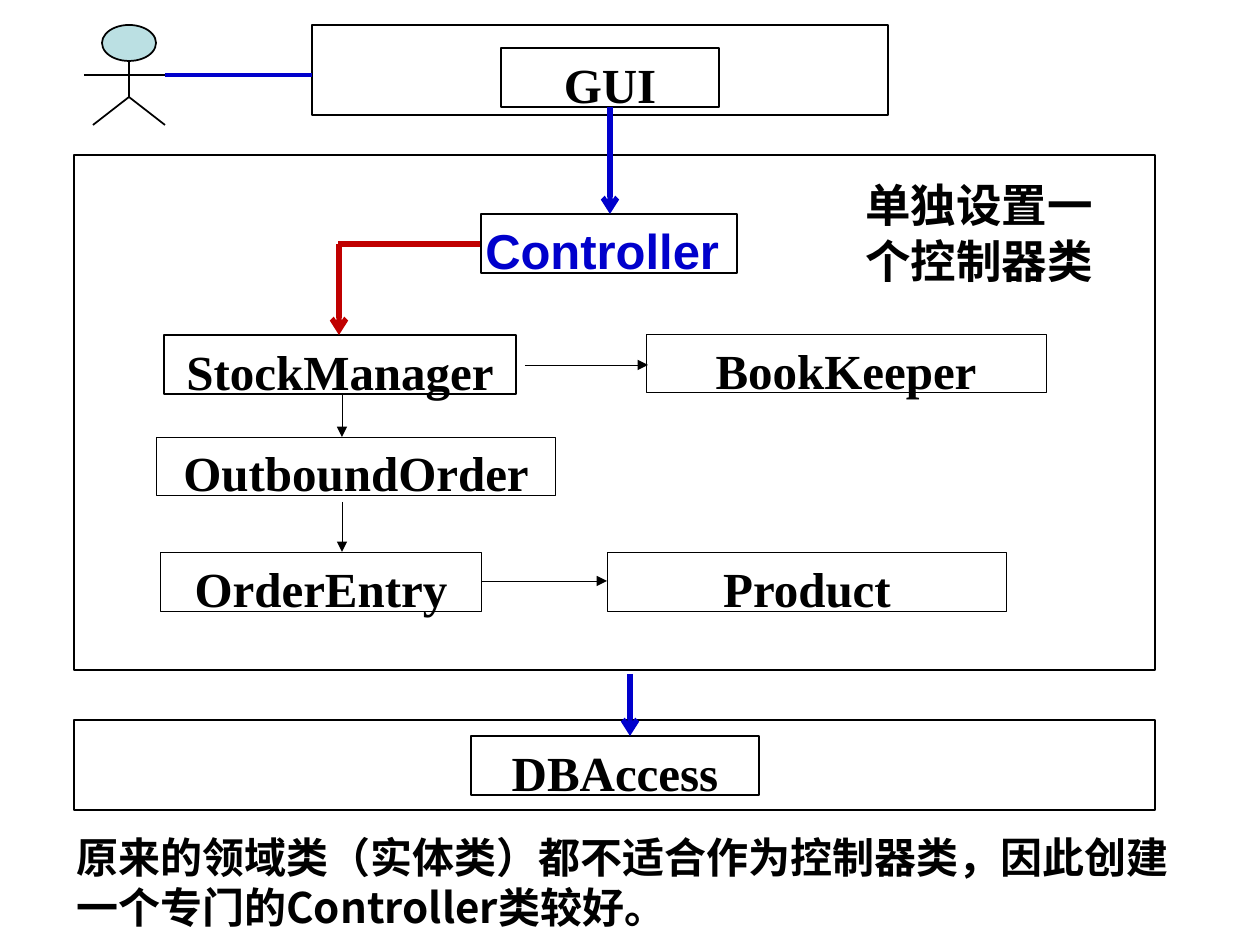
from lxml.etree import SubElement
from pptx import Presentation
from pptx.dml.color import RGBColor
from pptx.enum.shapes import MSO_CONNECTOR, MSO_SHAPE
from pptx.enum.text import MSO_ANCHOR, PP_ALIGN
from pptx.oxml.ns import qn
from pptx.util import Pt

PX = 914400 / 126
BLACK, WHITE, BLUE, RED, HEAD = "000000", "FFFFFF", "0000CC", "C00000", "BBE0E3"
SERIF, SANS, CJK = "Times New Roman", "Arial", "Noto Sans CJK SC"

# Layer frames: left, top, width, height
LAYERS = [(312, 25, 576, 90), (74, 155, 1081, 515), (74, 720, 1081, 90)]

# Class boxes: name, left, top, width, line width, font, colour
BOX_HEIGHT = 59
CLASSES = [
    ("GUI", 501, 48, 218, 1, SERIF, BLACK),
    ("Controller ", 481, 214, 256, 1, SANS, BLUE),
    ("StockManager", 164, 335, 352, 1, SERIF, BLACK),
    ("BookKeeper", 646, 334, 400, 0.5, SERIF, BLACK),
    ("OutboundOrder", 156, 437, 400, 0.5, SERIF, BLACK),
    ("OrderEntry", 160, 552, 322, 0.5, SERIF, BLACK),
    ("Product", 607, 552, 400, 0.5, SERIF, BLACK),
    ("DBAccess", 471, 736, 288, 1, SERIF, BLACK),
]

# Actor: head box and limbs
ACTOR_HEAD = (102, 25, 54, 36)
LIMBS = [(84, 75, 184, 75), (129, 61, 129, 97),
         (129, 97, 93, 125), (129, 97, 165, 125)]

# Links: x1, y1, x2, y2, colour, width, arrowhead
LINKS = [
    (165, 75, 312, 75, BLUE, 2.75, None),
    (610, 107, 610, 214, BLUE, 3, "arrow"),
    (480, 244, 338, 244, RED, 3, None),
    (339, 244, 339, 335, RED, 3, "arrow"),
    (525, 365, 648, 365, BLACK, 0.5, "triangle"),
    (342, 394, 342, 437, BLACK, 0.5, "triangle"),
    (342, 502, 342, 552, BLACK, 0.5, "triangle"),
    (482, 581, 607, 581, BLACK, 0.5, "triangle"),
    (630, 674, 630, 736, BLUE, 3, "arrow"),
]

# Notes: lines, box, size, line pitch in points, wrap
NOTES = [
    (["单独设置一", "个控制器类"], (853, 170, 274, 123), 26, 32, True),
    (["原来的领域类（实体类）都不适合作为控制器类，因此创建",
      "一个专门的Controller类较好。"], (64, 824, 1128, 115), 24, 29, False),
]


def emu(*lengths):
    return [round(length * PX) for length in lengths]


def rgb(colour):
    return RGBColor.from_string(colour)


def set_all(target, **values):
    for name, value in values.items():
        setattr(target, name, value)


def write(paragraph, text, font_name, size, colour):
    run = paragraph.add_run()
    run.text = text
    set_all(run.font, name=font_name, size=Pt(size), bold=True)
    run.font.color.rgb = rgb(colour)
    SubElement(run.font._element, qn("a:ea"), typeface=font_name)


def add_outline(slide, kind, box, width, fill=None):
    outline = slide.shapes.add_shape(kind, *emu(*box))
    outline.shadow.inherit = False
    if fill:
        outline.fill.solid()
        outline.fill.fore_color.rgb = rgb(fill)
    else:
        outline.fill.background()
    outline.line.color.rgb = rgb(BLACK)
    outline.line.width = Pt(width)
    return outline


def add_link(slide, x1, y1, x2, y2, colour=BLACK, width=1, arrowhead=None):
    link = slide.shapes.add_connector(MSO_CONNECTOR.STRAIGHT, *emu(x1, y1, x2, y2))
    link.line.color.rgb = rgb(colour)
    link.line.width = Pt(width)
    if arrowhead:
        SubElement(link.line._get_or_add_ln(), qn("a:tailEnd"), type=arrowhead)
    SubElement(link._element.spPr, qn("a:effectLst"))


def add_class(slide, name, left, top, width, line_width, font_name, colour):
    box = add_outline(slide, MSO_SHAPE.RECTANGLE,
                      (left, top, width, BOX_HEIGHT), line_width, WHITE)
    frame = box.text_frame
    set_all(frame, margin_left=0, margin_right=0, margin_bottom=0,
            margin_top=emu(6)[0], vertical_anchor=MSO_ANCHOR.TOP, word_wrap=True)
    frame.paragraphs[0].alignment = PP_ALIGN.CENTER
    write(frame.paragraphs[0], name, font_name, 28, colour)


def add_note(slide, lines, box, size, pitch, wrap):
    frame = slide.shapes.add_textbox(*emu(*box)).text_frame
    set_all(frame, word_wrap=wrap, vertical_anchor=MSO_ANCHOR.MIDDLE)
    for index, text in enumerate(lines):
        paragraph = frame.add_paragraph() if index else frame.paragraphs[0]
        paragraph.line_spacing = Pt(pitch)
        write(paragraph, text, CJK, size, BLACK)


def main():
    deck = Presentation()
    deck.slide_width, deck.slide_height = emu(1260, 945)
    slide = deck.slides.add_slide(deck.slide_layouts[6])

    # Layers and the classes inside them
    for layer in LAYERS:
        add_outline(slide, MSO_SHAPE.RECTANGLE, layer, 0.75)
    for class_box in CLASSES:
        add_class(slide, *class_box)

    # Actor, then the links over everything
    add_outline(slide, MSO_SHAPE.OVAL, ACTOR_HEAD, 1, HEAD)
    for link in LIMBS + LINKS:
        add_link(slide, *link)

    # Notes
    for note in NOTES:
        add_note(slide, *note)
    deck.save("out.pptx")


if __name__ == "__main__":
    main()
